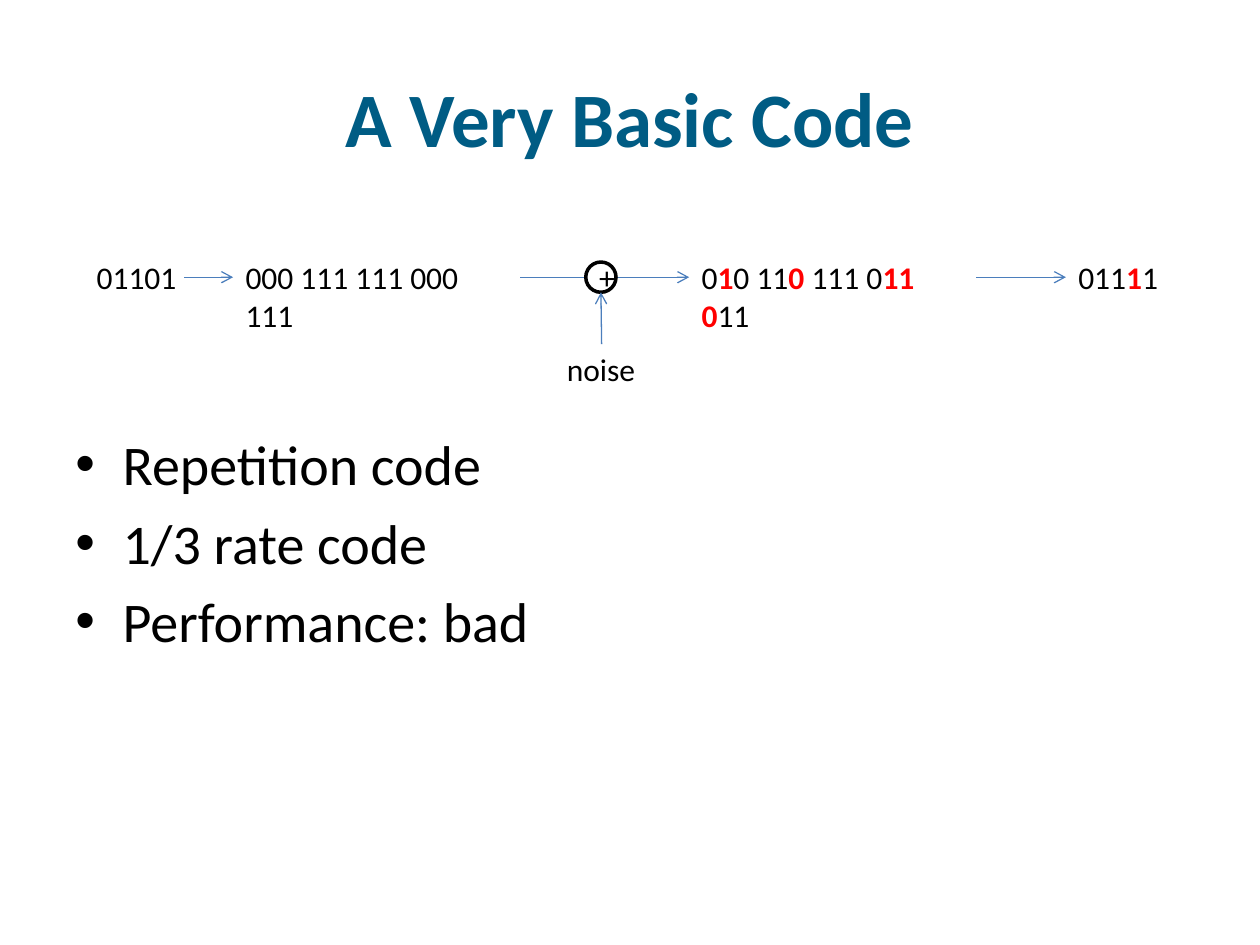
from lxml import etree
from pptx import Presentation
from pptx.dml.color import RGBColor
from pptx.enum.shapes import MSO_CONNECTOR, MSO_SHAPE
from pptx.enum.text import MSO_ANCHOR, MSO_AUTO_SIZE, PP_ALIGN
from pptx.oxml.ns import qn
from pptx.util import Pt

LINE = MSO_CONNECTOR.STRAIGHT
OVAL = MSO_SHAPE.OVAL
MIDDLE, TOP = MSO_ANCHOR.MIDDLE, MSO_ANCHOR.TOP
GROW, FIXED = MSO_AUTO_SIZE.SHAPE_TO_FIT_TEXT, MSO_AUTO_SIZE.NONE
LEFT, CENTER = PP_ALIGN.LEFT, PP_ALIGN.CENTER

FONT = "Calibri"
BLACK, WHITE, RED = "000000", "FFFFFF", "FF0000"
TEAL, BLUE = "005C84", "4B7EBC"


def color(code):
    """Turn a hex string into a colour."""
    return RGBColor.from_string(code)


def write(frame, text, size=18, ink=BLACK, bold=False, align=LEFT,
          anchor=TOP, wrap=True, fit=FIXED, bullet=False):
    """Fill a frame, one paragraph a line; parts between asterisks are bold red."""
    frame.word_wrap = wrap
    frame.auto_size = fit
    frame.vertical_anchor = anchor
    for row, line in enumerate(text.split("\n")):
        para = frame.add_paragraph() if row else frame.paragraphs[0]
        para.alignment = align
        if bullet:
            add_bullet(para, size)
        for part, piece in enumerate(line.split("*")):
            flip = part % 2 == 1
            run = para.add_run()
            run.text = piece
            run.font.name = FONT
            run.font.size = Pt(size)
            run.font.bold = bold or flip
            run.font.color.rgb = color(RED if flip else ink)


def add_bullet(para, size):
    """Give a paragraph a hanging round bullet and a gap above."""
    para.space_before = Pt(size * 0.2)
    props = para._p.get_or_add_pPr()
    props.set("marL", str(Pt(27)))
    props.set("indent", str(-Pt(27)))
    etree.SubElement(props, qn("a:buFont")).set("typeface", "Arial")
    etree.SubElement(props, qn("a:buChar")).set("char", "•")


def add_text(slide, box, text, **style):
    """Add a text box at left, top, width, height."""
    shape = slide.shapes.add_textbox(*map(Pt, box))
    write(shape.text_frame, text, **style)
    return shape


def add_arrow(slide, start, end, tail=None, head=None):
    """Draw an arrow; tail and head are (shape, side) pairs to join."""
    arrow = slide.shapes.add_connector(LINE, *map(Pt, start + end))
    if tail:
        arrow.begin_connect(*tail)
    if head:
        arrow.end_connect(*head)
    arrow.line.color.rgb = color(BLUE)
    arrow.line.width = Pt(0.75)
    etree.SubElement(arrow.line._get_or_add_ln(), qn("a:tailEnd")).set("type", "arrow")
    etree.SubElement(arrow._element.spPr, qn("a:effectLst"))


def add_title(slide, box, text):
    """Place and format the title."""
    title = slide.shapes.title
    title.left, title.top, title.width, title.height = map(Pt, box)
    write(title.text_frame, text, size=44, ink=TEAL, bold=True,
          align=CENTER, anchor=MIDDLE)


def add_channel(slide, box):
    """Draw the message, its code, the noisy word and the decoded result."""
    left, top, width, height = box
    deep = 28.8
    mid = top + deep / 2
    short, long = 67.7, 164.2
    words = [
        (0, short, "01101"),
        (85, long, "000 111 111 000 111"),
        (345.6, long, "0*1*0 11*0 *111 0*11 0*11"),
        (width - short, short, "011*1*1"),
    ]
    sent, code, noisy, result = [
        add_text(slide, (left + x, top, wide, deep), text, fit=GROW)
        for x, wide, text in words
    ]
    add_arrow(slide, (left + 57, mid), (left + 85, mid), head=(code, 1))
    for tail, head in ((code, noisy), (noisy, result)):
        add_arrow(slide, (left, mid), (left, mid), (tail, 3), (head, 1))

    ring = 17.3
    hub = left + 295.2
    adder = slide.shapes.add_shape(
        OVAL, *map(Pt, (hub - ring / 2, mid - ring / 2, ring, ring)))
    adder.shadow.inherit = False
    adder.fill.solid()
    adder.fill.fore_color.rgb = color(WHITE)
    adder.line.color.rgb = color(BLACK)
    adder.line.width = Pt(2)
    write(adder.text_frame, "+", align=CENTER, anchor=MIDDLE)

    noise = add_text(slide, (hub - 26.6, top + height - deep, 54, deep),
                     "noise", wrap=False, fit=GROW)
    add_arrow(slide, (hub, mid), (hub, mid + ring / 2), tail=(noise, 0))


def add_points(slide, box, lines):
    """Place the bulleted list."""
    add_text(slide, box, "\n".join(lines), size=32, bullet=True)


def main():
    """Build and save the slide."""
    deck = Presentation()
    deck.slide_width, deck.slide_height = Pt(720), Pt(540)
    slide = deck.slides.add_slide(deck.slide_layouts[5])
    add_title(slide, (36, 21.6, 648, 90), "A Very Basic Code")
    add_points(slide, (36, 242, 648, 240.5),
               ["Repetition code", "1/3 rate code", "Performance: bad"])
    add_channel(slide, (48.2, 144, 628.6, 81.4))
    deck.save("out.pptx")


if __name__ == "__main__":
    main()
